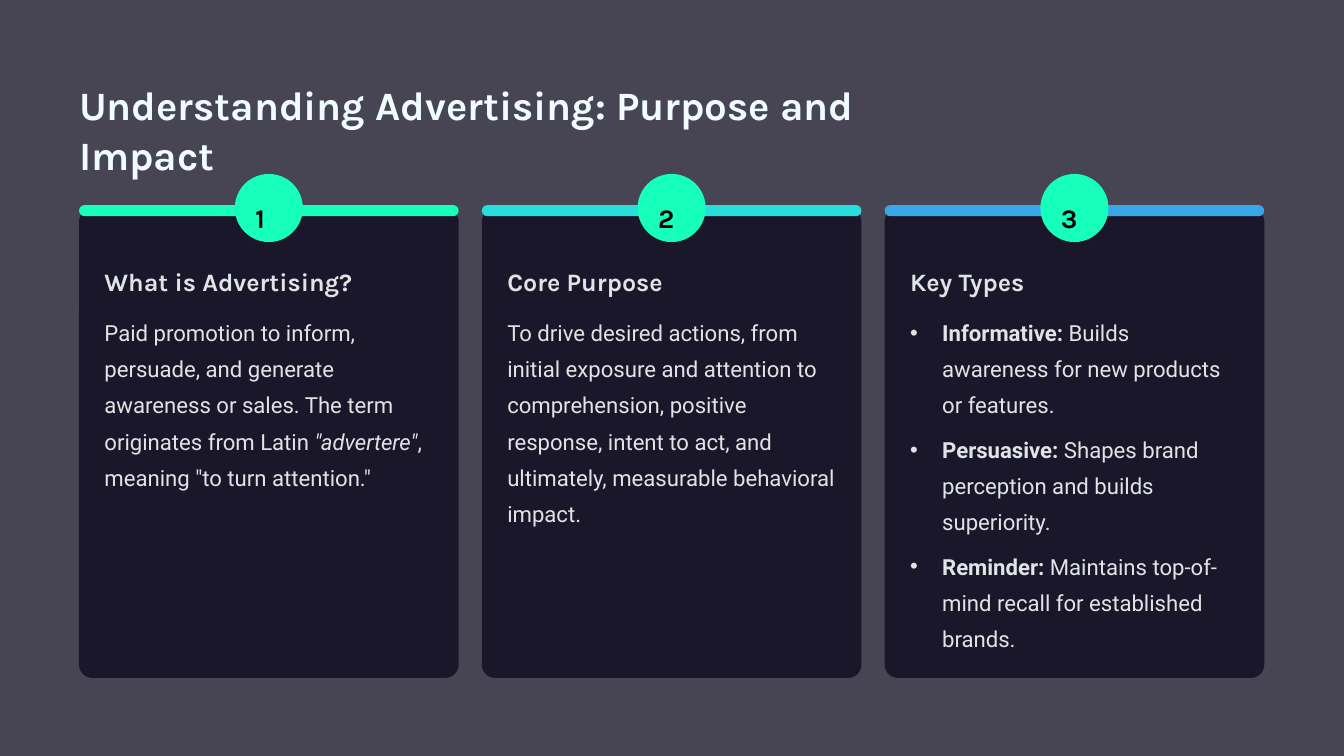
from dataclasses import dataclass

from lxml import etree
from pptx import Presentation
from pptx.dml.color import RGBColor
from pptx.enum.shapes import MSO_SHAPE
from pptx.enum.text import MSO_ANCHOR, MSO_AUTO_SIZE, PP_ALIGN
from pptx.oxml.ns import qn
from pptx.util import Cm, Pt

ROUNDED, OVAL = MSO_SHAPE.ROUNDED_RECTANGLE, MSO_SHAPE.OVAL
TOP, LEFT, NO_AUTOFIT = MSO_ANCHOR.TOP, PP_ALIGN.LEFT, MSO_AUTO_SIZE.NONE

COLORS = {
    "background": "474553",
    "card": "0A081B",
    "title": "F0FCFF",
    "text": "E0E4E6",
    "number": "000000",
    "green": "16FFBB",
    "turquoise": "29DDDA",
    "blue": "37A7E7",
}
CARD_LEFT, CARD_WIDTH, CARD_PITCH = 2.39, 11.48, 12.18
BADGE_SIZE = 2.06
CARD_PADDING = 0.77


@dataclass(frozen=True)
class Style:
    font: str
    size: float
    line_spacing: float
    color: str
    bold: bool = False


@dataclass(frozen=True)
class Span:
    text: str
    bold: bool = False
    italic: bool = False


@dataclass(frozen=True)
class Column:
    heading: str
    accent: str
    paragraphs: list[list[Span]]
    bulleted: bool = False


TITLE = Style("Karla", 34.5, 43, "title", True)
NUMBER = Style("Karla", 23, 37, "number", True)
HEADING = Style("Karla", 21.5, 27, "text", True)
BODY = Style("Roboto", 19, 31, "text")

COLUMNS = [
    Column("What is Advertising?", "green", [[
        Span("Paid promotion to inform, persuade, and generate awareness or sales. "
             "The term originates from Latin "),
        Span('"advertere"', italic=True),
        Span(', meaning "to turn attention."'),
    ]]),
    Column("Core Purpose", "turquoise", [[
        Span("To drive desired actions, from initial exposure and attention to "
             "comprehension, positive response, intent to act, and ultimately, "
             "measurable behavioral impact."),
    ]]),
    Column("Key Types", "blue", [
        [Span("Informative:", bold=True),
         Span(" Builds awareness for new products or features.")],
        [Span("Persuasive:", bold=True),
         Span(" Shapes brand perception and builds superiority.")],
        [Span("Reminder:", bold=True),
         Span(" Maintains top-of-mind recall for established brands.")],
    ], bulleted=True),
]


def rgb(name: str) -> RGBColor:
    return RGBColor.from_string(COLORS[name])


def place(shape, left: float, top: float, width: float, height: float) -> None:
    shape.left, shape.top = Cm(left), Cm(top)
    shape.width, shape.height = Cm(width), Cm(height)


def prepare_frame(shape, wrap: bool):
    frame = shape.text_frame
    frame.margin_left = frame.margin_right = frame.margin_top = frame.margin_bottom = 0
    frame.vertical_anchor = TOP
    frame.auto_size = NO_AUTOFIT
    frame.word_wrap = wrap
    return frame


def format_paragraph(paragraph, style: Style) -> None:
    paragraph.alignment = LEFT
    paragraph.line_spacing = Pt(style.line_spacing)
    paragraph.space_before = Pt(0)
    for run in paragraph.runs:
        run.font.name = style.font
        run.font.size = Pt(style.size)
        run.font.color.rgb = rgb(style.color)
        run.font.bold = style.bold


def write_line(shape, text: str, style: Style) -> None:
    frame = prepare_frame(shape, wrap=False)
    frame.text = text
    format_paragraph(frame.paragraphs[0], style)


def add_bullet(paragraph) -> None:
    properties = paragraph._p.get_or_add_pPr()
    properties.set("marL", str(Cm(0.97)))
    properties.set("indent", str(-Cm(0.97)))
    etree.SubElement(properties, qn("a:buChar")).set("char", "•")
    paragraph.space_after = Pt(7)


def write_body(shape, column: Column) -> None:
    frame = prepare_frame(shape, wrap=True)
    for index, spans in enumerate(column.paragraphs):
        paragraph = frame.add_paragraph() if index else frame.paragraphs[0]
        for span in spans:
            paragraph.add_run().text = span.text
        format_paragraph(paragraph, BODY)
        for run, span in zip(paragraph.runs, spans):
            run.font.bold, run.font.italic = span.bold, span.italic
        if column.bulleted:
            add_bullet(paragraph)


def add_block(slide, kind, color: str, left: float, top: float, width: float, height: float):
    block = slide.shapes.add_shape(kind, Cm(left), Cm(top), Cm(width), Cm(height))
    block.shadow.inherit = False
    block.fill.solid()
    block.fill.fore_color.rgb = rgb(color)
    block.line.fill.background()
    return block


def add_text_box(slide, left: float, top: float, width: float, height: float):
    return slide.shapes.add_textbox(Cm(left), Cm(top), Cm(width), Cm(height))


def add_column(slide, index: int, column: Column, bullet_list) -> None:
    left = CARD_LEFT + index * CARD_PITCH
    card = add_block(slide, ROUNDED, "card", left, 6.3, CARD_WIDTH, 14.2)
    card.adjustments[0] = 0.035
    card_color = card.fill._xPr.find(qn("a:solidFill"))[0]
    etree.SubElement(card_color, qn("a:alpha")).set("val", "75000")

    bar = add_block(slide, ROUNDED, column.accent, left, 6.2, CARD_WIDTH, 0.34)
    bar.adjustments[0] = 0.5
    badge_left = left + (CARD_WIDTH - BADGE_SIZE) / 2
    add_block(slide, OVAL, "green", badge_left, 5.26, BADGE_SIZE, BADGE_SIZE)
    write_line(add_text_box(slide, left + 5.33, 5.77, 0.81, 1.02), str(index + 1), NUMBER)

    text_left = left + CARD_PADDING
    text_width = CARD_WIDTH - 2 * CARD_PADDING
    write_line(add_text_box(slide, text_left, 8, 7.62, 0.97), column.heading, HEADING)
    if column.bulleted:
        body = bullet_list
        body._element.getparent().append(body._element)
        place(body, text_left, 9.37, text_width, 10.36)
    else:
        body = add_text_box(slide, text_left, 9.37, text_width, 6.58)
    write_body(body, column)


def main() -> None:
    presentation = Presentation()
    presentation.slide_width, presentation.slide_height = Cm(40.64), Cm(22.86)
    slide = presentation.slides.add_slide(presentation.slide_layouts[1])
    slide.background.fill.solid()
    slide.background.fill.fore_color.rgb = rgb("background")

    title, bullet_list = slide.shapes.title, slide.placeholders[1]
    place(title, CARD_LEFT, 2.36, 27.48, 1.52)
    write_line(title, "Understanding Advertising: Purpose and Impact", TITLE)
    for index, column in enumerate(COLUMNS):
        add_column(slide, index, column, bullet_list)
    presentation.save("out.pptx")


if __name__ == "__main__":
    main()
